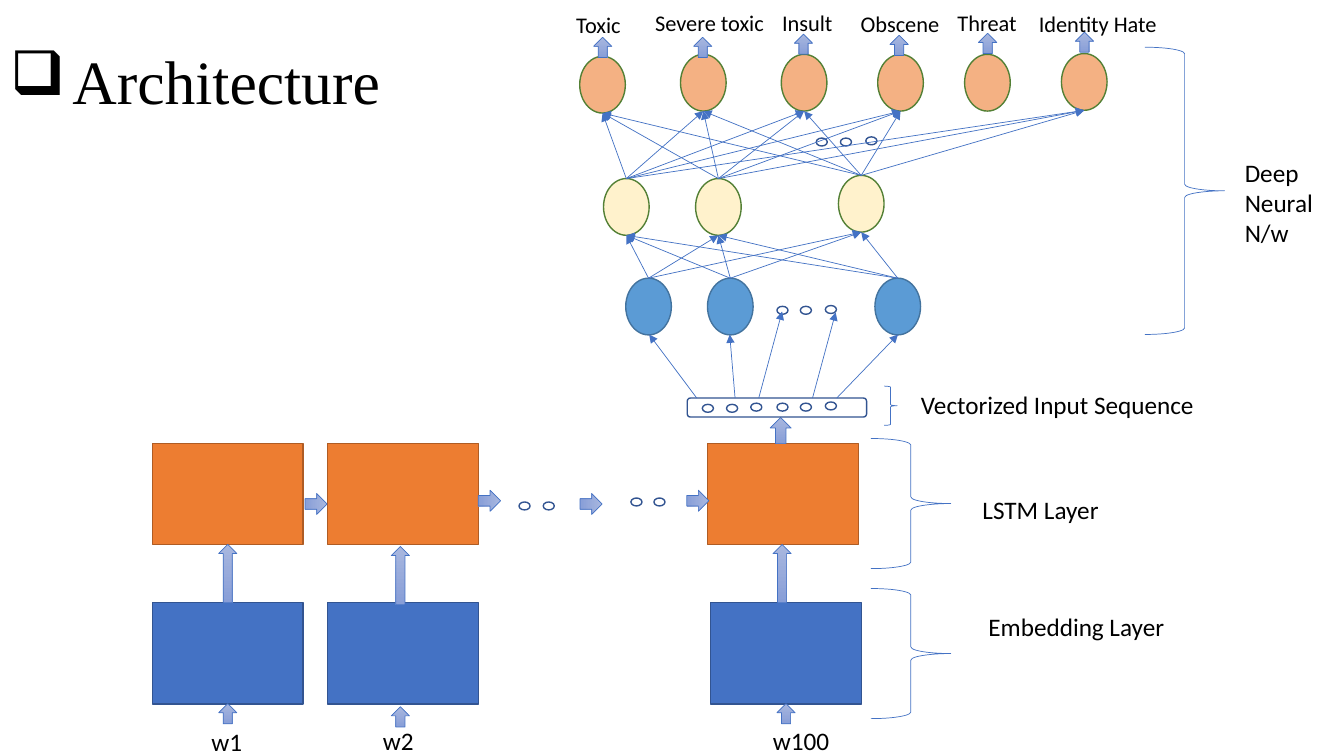
from lxml import etree
from pptx import Presentation
from pptx import util as u
from pptx.dml import color
from pptx.enum import shapes, text
from pptx.oxml import ns

Cm, Pt = u.Cm, u.Pt
KIND = shapes.MSO_SHAPE
COLORS = {
    "black": "000000", "white": "FFFFFF", "blue": "4472C4", "navy": "325491",
    "orange": "ED7D31", "rust": "AF5C24", "sky": "5B9BD5", "steel": "43739E",
    "cream": "FFF2CC", "peach": "F4B183", "green": "538035",
    "arrow_top": "A8B7DF", "arrow_bottom": "889ED7",
}


def rgb(name):
    return color.RGBColor.from_string(COLORS[name])


def draw(kind, x, y, width, height, fill, line, weight=1):
    part = slide.shapes.add_shape(kind, Cm(x), Cm(y), Cm(width), Cm(height))
    part.shadow.inherit = False
    part.line.color.rgb = rgb(line)
    part.line.width = Pt(weight)
    if fill == "arrow":
        part.fill.gradient()
        part.fill.gradient_angle = 270
        for stop, shade in zip(part.fill.gradient_stops, ("arrow_top", "arrow_bottom")):
            stop.color.rgb = rgb(shade)
    elif fill:
        part.fill.solid()
        part.fill.fore_color.rgb = rgb(fill)
    else:
        part.fill.background()
    return part


deck = Presentation()
deck.slide_width, deck.slide_height = Cm(33.87), Cm(19.05)
slide = deck.slides.add_slide(deck.slide_layouts[5])

title = slide.shapes.title
title.left, title.top, title.width, title.height = Cm(0), Cm(0.28), Cm(29.21), Cm(3.68)
title.text_frame.vertical_anchor = text.MSO_ANCHOR.MIDDLE
heading = title.text_frame.paragraphs[0]
heading.alignment = text.PP_ALIGN.LEFT
heading.line_spacing = 0.9
architecture = heading.add_run()
architecture.text = "Architecture"
architecture.font.size = Pt(44)
architecture.font.name = "Times New Roman"
architecture.font.color.rgb = rgb("black")
bullet_props = heading._p.get_or_add_pPr()
bullet_props.set("marL", str(Cm(1.57)))
bullet_props.set("indent", str(-Cm(1.57)))
etree.SubElement(bullet_props, ns.qn("a:buChar")).set("char", "❑")

for layer_y, last_x, fill, line in ((15.19, 17.91, "blue", "navy"), (11.17, 17.83, "orange", "rust")):
    for x in (3.84, 8.26, last_x):
        draw(KIND.RECTANGLE, x, layer_y, 3.8, 2.55, fill, line)

layers = []
for centers, fill, line in (
    (((15.77, 7.01), (17.83, 7.01), (22.05, 7.01)), "sky", "steel"),
    (((15.21, 4.5), (17.53, 4.5), (21.13, 4.42)), "cream", "green"),
    (((14.61, 1.42), (17.15, 1.37), (19.69, 1.37), (22.12, 1.37), (24.31, 1.37), (26.75, 1.35)),
     "peach", "green"),
):
    layers.append([draw(KIND.OVAL, x, y, 1.15, 1.43, fill, line) for x, y in centers])
input_neurons, hidden_neurons, output_neurons = layers

for width, height, spots in (
    (0.46, 0.51, ((5.51, 17.73), (9.86, 17.81), (19.58, 17.73), (14.96, 0.94), (17.48, 0.94),
                  (20.02, 0.86), (22.43, 0.89), (24.66, 0.84), (27.1, 0.81))),
    (0.46, 1.47, ((5.51, 13.72), (9.86, 13.77), (19.48, 13.72))),
    (0.53, 0.66, ((19.41, 10.52),)),
):
    for x, y in spots:
        draw(KIND.UP_ARROW, x, y, width, height, "arrow", "blue", 0.5)

for x, y in ((7.7, 12.42), (12.07, 12.34), (17.32, 12.34), (14.63, 12.42)):
    draw(KIND.UP_ARROW, x, y, 0.53, 0.56, "arrow", "blue", 0.5).rotation = 90

links = [
    (Cm(x1), Cm(y1), Cm(x2), Cm(y2))
    for x1, y1, x2, y2 in (
        (17.83, 10.39, 16.36, 8.43), (18.54, 10.21, 18.39, 8.43), (21.01, 10.11, 22.63, 8.43),
        (20.45, 10.13, 21.06, 7.87), (19.1, 10.11, 19.71, 7.85),
    )
]
linked_outputs = output_neurons[:4] + output_neurons[5:]
for sources, targets in ((input_neurons, hidden_neurons), (hidden_neurons, linked_outputs)):
    for source in sources:
        for target in targets:
            links.append((source.left + source.width // 2, source.top,
                          target.left + target.width // 2, target.top + target.height))

draw(KIND.ROUNDED_RECTANGLE, 17.32, 10.03, 4.52, 0.48, "white", "navy")
for x, y in (
    (19.58, 7.72), (20.17, 7.72), (20.8, 7.7),
    (20.57, 3.48), (21.18, 3.48), (21.82, 3.45),
    (13.08, 12.65), (13.69, 12.65), (15.9, 12.55), (16.48, 12.55),
    (17.7, 10.19), (18.31, 10.19), (18.92, 10.16), (19.58, 10.16), (20.17, 10.16), (20.8, 10.13),
):
    draw(KIND.FLOWCHART_CONNECTOR, x, y, 0.28, 0.2, "white", "navy")

vector_box_top = Cm(10.03)
for x1, y1, x2, y2 in links:
    if y1 > vector_box_top:
        x1 += (x2 - x1) * (vector_box_top - y1) // (y2 - y1)
        y1 = vector_box_top
    link = slide.shapes.add_connector(shapes.MSO_CONNECTOR.STRAIGHT, x1, y1, x2, y2)
    link.line.color.rgb = rgb("blue")
    link.line.width = Pt(0.5)
    etree.SubElement(link.line._get_or_add_ln(), ns.qn("a:tailEnd")).set("type", "triangle")
    etree.SubElement(link._element.spPr, ns.qn("a:effectLst"))

for x, y, width, height in (
    (21.95, 14.83, 2.01, 3.28), (21.95, 11.05, 2.01, 3.28),
    (28.85, 1.19, 2.01, 7.24), (22.28, 9.73, 0.33, 0.99),
):
    draw(KIND.RIGHT_BRACE, x, y, width, height, None, "blue", 0.5)

for lines, x, y, width, height, size in (
    (["Toxic"], 14.27, 0.15, 1.65, 0.94, 16),
    (["Severe toxic"], 16.26, 0.1, 3.3, 0.94, 16),
    (["Insult"], 19.46, 0.1, 1.8, 0.94, 16),
    (["Obscene"], 21.44, 0.13, 2.51, 0.94, 16),
    (["Threat"], 23.88, 0.1, 2.03, 0.94, 16),
    (["Identity Hate"], 25.93, 0.13, 3.66, 0.94, 16),
    (["w1"], 5.08, 18.19, 1.3, 1.02, 18),
    (["w2"], 9.4, 18.14, 1.3, 1.02, 18),
    (["w100"], 19.23, 18.14, 1.96, 1.02, 18),
    (["Deep", "Neural", "N/w"], 31.12, 3.84, 2.26, 2.57, 18),
    (["LSTM Layer"], 24.51, 12.34, 3.48, 1.02, 18),
    (["Embedding Layer"], 24.66, 15.29, 5, 1.02, 18),
    (["Vectorized Input Sequence"], 22.96, 9.68, 7.47, 1.02, 18),
):
    label = slide.shapes.add_textbox(Cm(x), Cm(y), Cm(width), Cm(height)).text_frame
    label.word_wrap = False
    label.auto_size = text.MSO_AUTO_SIZE.SHAPE_TO_FIT_TEXT
    for index, words in enumerate(lines):
        paragraph = label.add_paragraph() if index else label.paragraphs[0]
        run = paragraph.add_run()
        run.text = words
        run.font.size = Pt(size)
        run.font.name = "Calibri"
        run.font.color.rgb = rgb("black")

deck.save("out.pptx")
